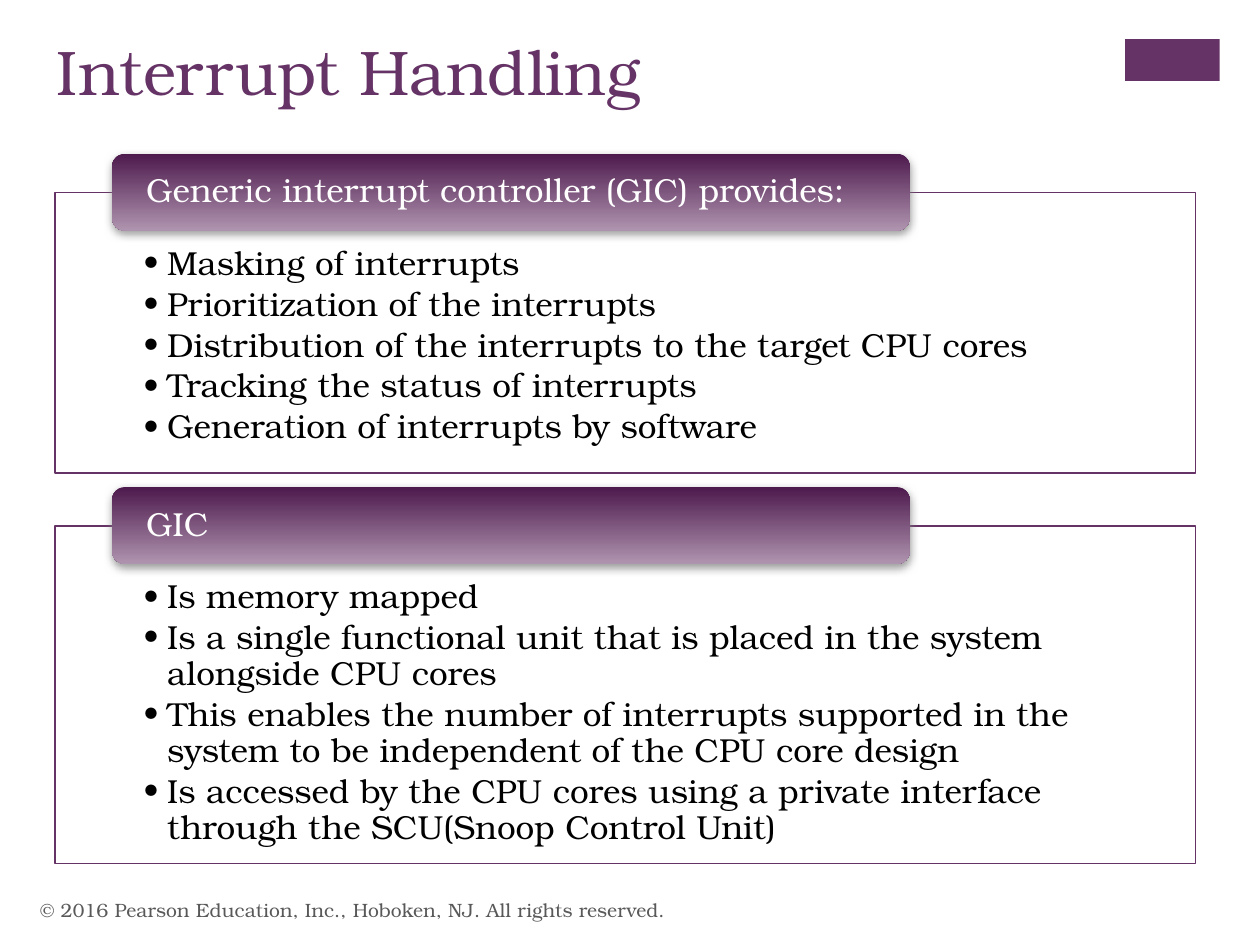
"""Build the Interrupt Handling slide with two captioned bullet panels."""
from lxml.etree import SubElement
from pptx import Presentation
from pptx.dml.color import RGBColor
from pptx.enum.shapes import MSO_SHAPE
from pptx.enum.text import MSO_ANCHOR, PP_ALIGN
from pptx.oxml.ns import qn
from pptx.util import Cm, Pt

FONT = "TeX Gyre Bonum"
PURPLE = "663366"
TITLE = "Interrupt Handling"
COPYRIGHT = "© 2016 Pearson Education, Inc., Hoboken, NJ. All rights reserved."
PANELS = [
    {
        "caption": "Generic interrupt controller (GIC) provides:",
        "top": 3.88,
        "height": 5.66,
        "bullets": [
            "Masking of interrupts",
            "Prioritization of the interrupts",
            "Distribution of the interrupts to the target CPU cores",
            "Tracking the status of interrupts",
            "Generation of interrupts by software",
        ],
    },
    {
        "caption": "GIC",
        "top": 10.6,
        "height": 6.81,
        "bullets": [
            "Is memory mapped",
            "Is a single functional unit that is placed in the system alongside CPU cores",
            "This enables the number of interrupts supported in the system to be "
            "independent of the CPU core design",
            "Is accessed by the CPU cores using a private interface through the "
            "SCU(Snoop Control Unit)",
        ],
    },
]
PANEL_LEFT, PANEL_WIDTH = 1.11, 22.99
CAPTION_LEFT, CAPTION_WIDTH, CAPTION_HEIGHT = 2.26, 16.08, 1.55
CAPTION_RISE = 0.78
GRADIENT = ("4D1A4D", "AF94AF")
BULLET_INDENT = Cm(0.48)
PLAIN_MARGINS = (0.25, 0.13, 0.25, 0.13)
PANEL_MARGINS = (1.78, 1.09, 1.78, 0.38)
CAPTION_MARGINS = (0.61, 0, 0.61, 0)
PANEL_PARAGRAPH = {"line_spacing": 0.9, "space_after": Pt(2.85)}
CAPTION_PARAGRAPH = {"line_spacing": 0.9}


def color(value):
    return RGBColor.from_string(value)


def set_attributes(target, values):
    for name, value in values.items():
        setattr(target, name, value)


def add_bullet(paragraph):
    properties = paragraph._p.get_or_add_pPr()
    properties.set("marL", str(BULLET_INDENT))
    properties.set("indent", str(-BULLET_INDENT))
    SubElement(properties, qn("a:buFont"), typeface=FONT)
    SubElement(properties, qn("a:buChar"), char="•")


def write_text(shape, lines, size, font_color, margins=PLAIN_MARGINS,
               anchor=MSO_ANCHOR.TOP, spacing=None, bulleted=False):
    frame = shape.text_frame
    sides = ("margin_left", "margin_top", "margin_right", "margin_bottom")
    set_attributes(frame, {"word_wrap": True, "vertical_anchor": anchor})
    set_attributes(frame, dict(zip(sides, map(Cm, margins))))
    for index, line in enumerate(lines):
        paragraph = frame.paragraphs[0] if index == 0 else frame.add_paragraph()
        if bulleted:
            add_bullet(paragraph)
        set_attributes(paragraph, {"alignment": PP_ALIGN.LEFT, **(spacing or {})})
        run = paragraph.add_run()
        run.text = line
        set_attributes(run.font, {"name": FONT, "size": Pt(size)})
        run.font.color.rgb = color(font_color)


def add_text(slide, box, lines, size, font_color, **options):
    write_text(slide.shapes.add_textbox(*map(Cm, box)), lines, size, font_color, **options)


def add_box(slide, kind, box, fill=None, line=None):
    shape = slide.shapes.add_shape(kind, *map(Cm, box))
    shape.shadow.inherit = False
    if fill:
        shape.fill.solid()
        shape.fill.fore_color.rgb = color(fill)
    if line:
        shape.line.color.rgb = color(line)
        shape.line.width = Pt(1)
    else:
        shape.line.fill.background()
    return shape


def add_soft_shadow(shape):
    effects = shape._element.spPr.find(qn("a:effectLst"))
    shadow = SubElement(effects, qn("a:outerShdw"), blurRad=str(Pt(5)),
                        dist=str(Pt(2)), dir="5400000", algn="ctr", rotWithShape="0")
    tint = SubElement(shadow, qn("a:srgbClr"), val="808080")
    SubElement(tint, qn("a:alpha"), val="75000")


def add_panel(slide, panel):
    box = (PANEL_LEFT, panel["top"], PANEL_WIDTH, panel["height"])
    body = add_box(slide, MSO_SHAPE.RECTANGLE, box, "FFFFFF", PURPLE)
    white = body._element.spPr.find(qn("a:solidFill")).find(qn("a:srgbClr"))
    SubElement(white, qn("a:alpha"), val="90000")
    write_text(body, panel["bullets"], 19, "000000", margins=PANEL_MARGINS,
               spacing=PANEL_PARAGRAPH, bulleted=True)

    box = (CAPTION_LEFT, panel["top"] - CAPTION_RISE, CAPTION_WIDTH, CAPTION_HEIGHT)
    caption = add_box(slide, MSO_SHAPE.ROUNDED_RECTANGLE, box)
    caption.fill.gradient()
    caption.fill.gradient_angle = 270
    for stop, position, value in zip(caption.fill.gradient_stops, (0, 1), GRADIENT):
        stop.position = position
        stop.color.rgb = color(value)
    add_soft_shadow(caption)
    write_text(caption, [panel["caption"]], 19, "FFFFFF", margins=CAPTION_MARGINS,
               anchor=MSO_ANCHOR.MIDDLE, spacing=CAPTION_PARAGRAPH)


def main():
    presentation = Presentation()
    set_attributes(presentation, {"slide_width": Cm(25.4), "slide_height": Cm(19.05)})
    slide = presentation.slides.add_slide(presentation.slide_layouts[6])
    add_box(slide, MSO_SHAPE.RECTANGLE, (22.68, 0.79, 1.91, 0.84), PURPLE)
    add_text(slide, (0.56, 17.83, 17.02, 1.02), [COPYRIGHT], 11, "595959",
             anchor=MSO_ANCHOR.MIDDLE)
    add_text(slide, (0.9, 0.53, 20.98, 3.1), [TITLE], 36, PURPLE)
    for panel in PANELS:
        add_panel(slide, panel)
    presentation.save("out.pptx")


if __name__ == "__main__":
    main()
